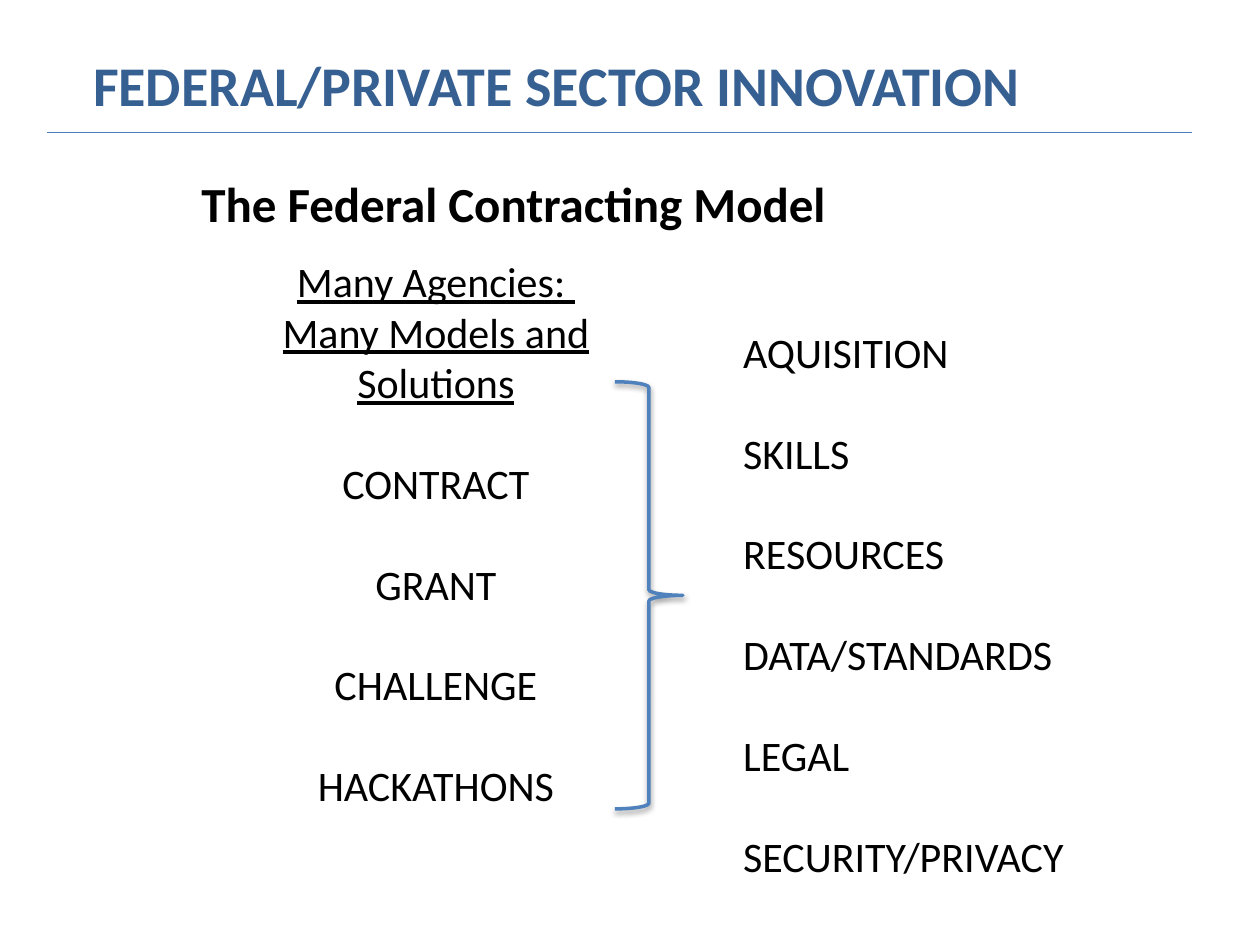
from lxml import etree
from pptx import Presentation
from pptx.dml.color import RGBColor
from pptx.enum.shapes import MSO_CONNECTOR, MSO_SHAPE
from pptx.enum.text import PP_ALIGN
from pptx.oxml.ns import qn
from pptx.util import Inches, Pt

LEFT, CENTER = PP_ALIGN.LEFT, PP_ALIGN.CENTER
STRAIGHT = MSO_CONNECTOR.STRAIGHT
RIGHT_BRACE = MSO_SHAPE.RIGHT_BRACE
BLACK = RGBColor(0x00, 0x00, 0x00)
TITLE_BLUE = RGBColor(0x37, 0x60, 0x92)
RULE_BLUE = RGBColor(0x4B, 0x7E, 0xBC)
BRACE_BLUE = RGBColor(0x4F, 0x81, 0xBD)
FONT = "Calibri"
BODY_SIZE = 24
ITEM_GAP = Pt(28.8)

TITLE = "FEDERAL/PRIVATE SECTOR INNOVATION"
SUBTITLE = "The Federal Contracting Model"
AGENCIES_HEADING = ["Many Agencies: ", "Many Models and Solutions"]
MODELS = ["CONTRACT", "GRANT", "CHALLENGE", "HACKATHONS"]
NEEDS = ["AQUISITION", "SKILLS", "RESOURCES", "DATA/STANDARDS", "LEGAL", "SECURITY/PRIVACY"]


def add_text(box, lines, size, color=BLACK, bold=False, align=LEFT, wrap=True,
             gap=0, underlined=0):
    frame = slide.shapes.add_textbox(*map(Inches, box)).text_frame
    frame.word_wrap = wrap
    for index, line in enumerate(lines):
        paragraph = frame.add_paragraph() if index else frame.paragraphs[0]
        paragraph.alignment = align
        if index and index >= underlined:
            paragraph.space_before = gap
        run = paragraph.add_run()
        run.text = line
        run.font.name = FONT
        run.font.size = Pt(size)
        run.font.bold = bold
        run.font.underline = index < underlined
        run.font.color.rgb = color


def add_shadow(shape, blur, distance, opacity):
    effects = shape._element.spPr.find(qn("a:effectLst"))
    shadow = etree.SubElement(effects, qn("a:outerShdw"), blurRad=str(Pt(blur)),
                              dist=str(Pt(distance)), dir="5400000", rotWithShape="0")
    shade = etree.SubElement(shadow, qn("a:srgbClr"), val=str(BLACK))
    etree.SubElement(shade, qn("a:alpha"), val=str(opacity * 1000))


presentation = Presentation()
presentation.slide_width, presentation.slide_height = Inches(10), Inches(7.5)
slide = presentation.slides.add_slide(presentation.slide_layouts[6])

add_text((1.68, 1.98, 3.56, 4.54), AGENCIES_HEADING + MODELS, BODY_SIZE, align=CENTER,
         gap=ITEM_GAP, underlined=len(AGENCIES_HEADING))

brace = slide.shapes.add_shape(RIGHT_BRACE, *map(Inches, (4.88, 3.03, 0.54, 3.39)))
brace.fill.background()
brace.line.color.rgb = BRACE_BLUE
brace.line.width = Pt(2)
brace.shadow.inherit = False
add_shadow(brace, blur=3.1, distance=1.6, opacity=38)

add_text((5.8, 2.54, 2.77, 4.54), NEEDS, BODY_SIZE, wrap=False, gap=ITEM_GAP)
add_text((0.64, 0.35, 7.63, 0.64), [TITLE], 32, color=TITLE_BLUE, bold=True, wrap=False)

title_rule = slide.shapes.add_connector(STRAIGHT, *map(Inches, (0.37, 1.05, 9.46, 1.05)))
title_rule.line.color.rgb = RULE_BLUE
title_rule.line.width = Pt(0.75)
etree.SubElement(title_rule._element.spPr, qn("a:effectLst"))

add_text((1.5, 1.33, 5.57, 1.04), [SUBTITLE], 28, bold=True)

presentation.save("out.pptx")
